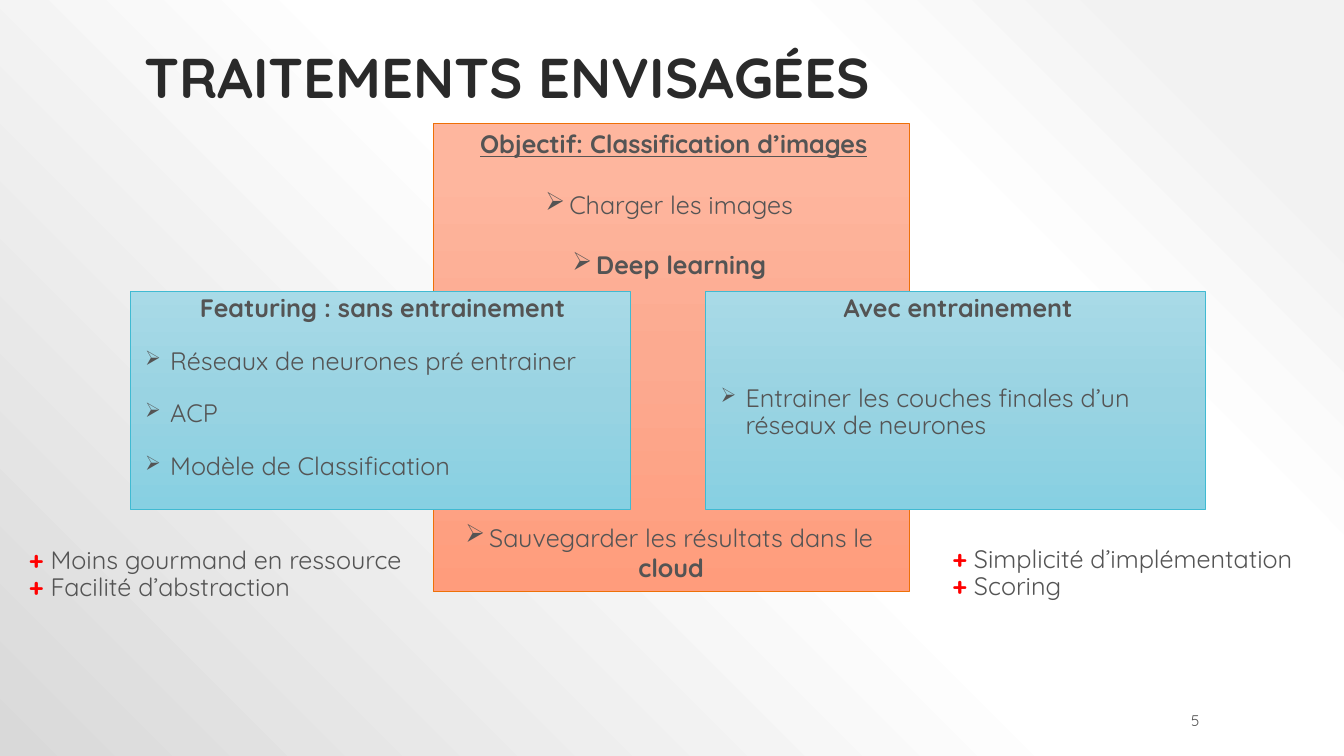
from lxml.etree import SubElement
from pptx import Presentation
from pptx.dml.color import RGBColor
from pptx.enum.shapes import MSO_SHAPE as Shape
from pptx.enum.text import MSO_ANCHOR as Anchor, PP_ALIGN as Align
from pptx.oxml.ns import qn
from pptx.util import Cm, Pt

FONT = "Quicksand"
TITLE_DARK = RGBColor(0x2A, 0x2A, 0x2A)
TEXT_GREY = RGBColor(0x54, 0x54, 0x54)
PLUS_RED = RGBColor(0xFF, 0x00, 0x00)
ORANGE_LINE = RGBColor(0xEE, 0x70, 0x08)
BLUE_LINE = RGBColor(0x40, 0xBA, 0xD2)

# Gradient stops: percentage, colour
ORANGE_STOPS = [(10, RGBColor(0xFE, 0xB6, 0x9E)), (50, RGBColor(0xFC, 0xAA, 0x90)),
                (100, RGBColor(0xFF, 0x9C, 0x7C))]
BLUE_STOPS = [(0, RGBColor(0xA8, 0xDA, 0xE7)), (50, RGBColor(0x99, 0xD3, 0xE2)),
              (100, RGBColor(0x87, 0xD0, 0xE2))]
BACKGROUND_STOPS = [(10, RGBColor(0xF2, 0xF2, 0xF2)), (28, RGBColor(0xFF, 0xFF, 0xFF)),
                    (48, RGBColor(0xFF, 0xFF, 0xFF)), (100, RGBColor(0xD9, 0xD9, 0xD9))]

LINE_HEIGHT = 21.6  # one 18 pt line, in points


def set_gradient(fill, owner, stops, radial=False):
    """Fill downwards, or in circles around the top right corner."""
    fill.gradient()
    gradient = owner._element.find(".//" + qn("a:gradFill"))
    for child in list(gradient):
        gradient.remove(child)
    stop_list = SubElement(gradient, qn("a:gsLst"))
    for percent, color in stops:
        stop = SubElement(stop_list, qn("a:gs"), pos=str(percent * 1000))
        SubElement(stop, qn("a:srgbClr"), val=str(color))
    if radial:
        circle = SubElement(gradient, qn("a:path"), path="circle")
        SubElement(circle, qn("a:fillToRect"), l="100000", b="100000")
    else:
        SubElement(gradient, qn("a:lin"), ang="5400000", scaled="0")


def set_font(font, size=18, color=TEXT_GREY, bold=False):
    font.name = FONT
    font.size = Pt(size)
    font.color.rgb = color
    font.bold = bold


def next_paragraph(frame):
    """Return the frame's first paragraph while it is empty, else a new one."""
    first = frame.paragraphs[0]
    return frame.add_paragraph() if first.runs else first


def add_line(frame, text, bold=False, align=Align.CENTER, before=0, spacing=1.0):
    paragraph = next_paragraph(frame)
    paragraph.add_run().text = text
    paragraph.alignment = align
    paragraph.space_before = Pt(before)
    paragraph.line_spacing = spacing
    set_font(paragraph.font, bold=bold)
    return paragraph


def set_indent(paragraph, left, hanging=0.0):
    properties = paragraph._p.get_or_add_pPr()
    properties.set("marL", str(Cm(left)))
    properties.set("indent", str(-Cm(hanging)))


def add_bullet(paragraph, percent=100):
    properties = paragraph._p.get_or_add_pPr()
    size = SubElement(properties, qn("a:buSzPct"), val=str(percent * 1000))
    character = SubElement(properties, qn("a:buChar"), char="➢")
    default_font = properties.find(qn("a:defRPr"))
    default_font.addprevious(size)
    default_font.addprevious(character)


def add_panel(slide, left, top, width, height, stops, line_color):
    panel = slide.shapes.add_shape(Shape.RECTANGLE, Cm(left), Cm(top), Cm(width), Cm(height))
    panel.shadow.inherit = False
    set_gradient(panel.fill, panel, stops)
    panel.line.color.rgb = line_color
    panel.line.width = Pt(0.5)
    panel.text_frame.word_wrap = True
    panel.text_frame.vertical_anchor = Anchor.TOP
    return panel.text_frame


def add_text_box(slide, left, top, width, height):
    frame = slide.shapes.add_textbox(Cm(left), Cm(top), Cm(width), Cm(height)).text_frame
    frame.word_wrap = True
    return frame


def add_objective(slide):
    frame = add_panel(slide, 10.92, 3.12, 11.99, 11.79, ORANGE_STOPS, ORANGE_LINE)
    heading = add_line(frame, "Objectif: Classification d’images", bold=True)
    heading.font.underline = True
    set_indent(heading, 0.13)
    for text, bold in (("Charger les images", False), ("Deep learning", True)):
        add_bullet(add_line(frame, text, bold, before=LINE_HEIGHT))
    # The last step stands below the two blue panels
    saving = add_line(frame, "Sauvegarder les résultats dans le ", before=8 * LINE_HEIGHT)
    add_bullet(saving)
    cloud = saving.add_run()
    cloud.text = "cloud"
    cloud.font.bold = True


def add_approach(slide, left, heading, steps, first_gap=18):
    frame = add_panel(slide, left, 7.34, 12.6, 5.49, BLUE_STOPS, BLUE_LINE)
    set_indent(add_line(frame, heading, bold=True, spacing=0.9), 0.13)
    for index, step in enumerate(steps):
        gap = 18 if index else first_gap
        paragraph = add_line(frame, step, align=Align.LEFT, before=gap, spacing=0.9)
        set_indent(paragraph, 0.76, 0.63)
        add_bullet(paragraph, 80)


def add_advantages(slide, left, top, width, advantages):
    frame = add_text_box(slide, left, top, width, 2.49)
    for advantage, spacing in zip(advantages, (2.0, 0.9)):
        paragraph = next_paragraph(frame)
        paragraph.line_spacing = spacing
        for text, color, bold in (("+ ", PLUS_RED, True), (advantage, TEXT_GREY, False)):
            run = paragraph.add_run()
            run.text = text
            set_font(run.font, color=color, bold=bold)


def add_title(slide, text):
    title = slide.shapes.title
    title.left, title.top, title.width, title.height = Cm(3.38), Cm(0.76), Cm(27.1), Cm(2.16)
    title.text_frame.text = text
    title.text_frame.vertical_anchor = Anchor.BOTTOM
    paragraph = title.text_frame.paragraphs[0]
    paragraph.alignment = Align.LEFT
    paragraph.line_spacing = 0.9
    set_font(paragraph.font, 40, TITLE_DARK, True)


def add_page_number(slide, number):
    frame = add_text_box(slide, 27.3, 17.91, 3.18, 0.51)
    frame.vertical_anchor = Anchor.MIDDLE
    paragraph = add_line(frame, number, align=Align.RIGHT)
    set_font(paragraph.font, 11)


def main():
    presentation = Presentation()
    presentation.slide_width, presentation.slide_height = Cm(33.87), Cm(19.05)
    slide = presentation.slides.add_slide(presentation.slide_layouts[5])
    set_gradient(slide.background.fill, slide, BACKGROUND_STOPS, radial=True)

    add_title(slide, "TRAITEMENTS ENVISAGÉES")
    add_objective(slide)

    # The two approaches, side by side
    add_approach(slide, 3.28, "Featuring : sans entrainement",
                 ["Réseaux de neurones pré entrainer", "ACP", "Modèle de Classification"])
    add_approach(slide, 17.78, "Avec entrainement",
                 ["Entrainer les couches finales d’un réseaux de neurones"], first_gap=44.6)

    # Their advantages
    add_advantages(slide, 0.48, 12.83, 10.44,
                   ["Moins gourmand en ressource", "Facilité d’abstraction"])
    add_advantages(slide, 23.75, 12.8, 9.78, ["Simplicité d’implémentation", "Scoring"])

    add_page_number(slide, "5")
    presentation.save("out.pptx")


if __name__ == "__main__":
    main()
